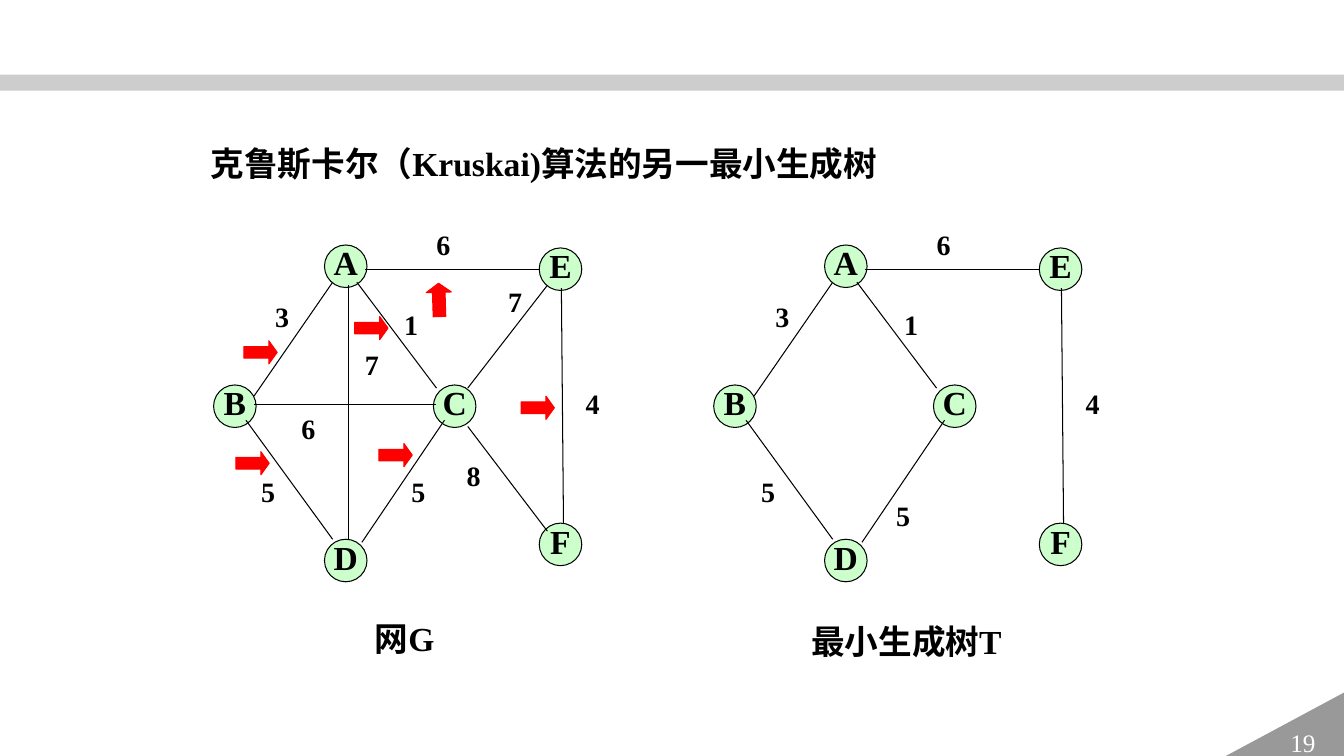
from lxml import etree
from pptx import Presentation
from pptx import util as u
from pptx.dml.color import RGBColor
from pptx.enum import shapes, text
from pptx.oxml import ns

BLACK = RGBColor(0, 0, 0)
WHITE = RGBColor(255, 255, 255)
GREEN = RGBColor(0xCC, 0xFF, 0xCC)
RED = RGBColor(255, 0, 0)
SILVER = RGBColor(0xA6, 0xA6, 0xA6)
GREY = RGBColor(0x99, 0x99, 0x99)
FONT = "Times New Roman"
KIND = shapes.MSO_SHAPE
NODE = 30.4

NODES = {"A": (79.2, 7), "B": (0, 107), "C": (157, 107),
         "D": (79.2, 217.2), "E": (232.6, 9.1), "F": (232.6, 205.7)}
EDGES = {"AB": ((85, 33.6), (28.8, 115)),
         "BD": ((23.1, 132.2), (85, 217.2)),
         "BC": ((28.8, 120.7), (159.2, 120.7)),
         "AD": ((96.5, 35.8), (96.5, 217.2)),
         "AC": ((102.3, 33.6), (159.2, 109.2)),
         "CD": ((164.9, 132.2), (105.9, 219.4)),
         "CE": ((238.4, 35.8), (181.5, 109.2)),
         "CF": ((181.5, 136.6), (238.4, 211.4)),
         "EF": ((248.4, 37.9), (249.9, 205.7)),
         "AE": ((108, 24.2), (232.6, 24.2))}
COSTS = {"AB": ("3", 44, 52.3), "BD": ("5", 33.9, 177.6),
         "BC": ("6", 62.7, 132.2), "AD": ("7", 108, 86.9),
         "AC": ("1", 136.1, 58.1), "CD": ("5", 141.2, 177.6),
         "CE": ("7", 210.3, 41.5), "CF": ("8", 180.8, 166.1),
         "EF": ("4", 265.7, 115), "AE": ("6", 159.2, 1.2)}
MARKS = {"AC": (100.8, 58.1, 16.6, 0), "AB": (21.6, 75.4, 16.6, 0),
         "EF": (219.6, 115, 16.6, 0), "BD": (15.9, 154.6, 16.6, 0),
         "CD": (118.1, 148.8, 16.6, 0), "AE": (149.1, 37.2, 18, 268.3)}


def pts(*nums):
    """Turn numbers into point lengths."""
    return [u.Pt(n) for n in nums]


def write(shape, words, size, color=BLACK, bold=True, space=None, align=None):
    """Put one formatted paragraph into a shape."""
    para = shape.text_frame.paragraphs[0]
    para.text = words
    para.font.name, para.font.size = FONT, u.Pt(size)
    para.font.bold, para.font.color.rgb = bold, color
    para.line_spacing, para.alignment = space, align


def solid(slide, kind, box, fill, line=None):
    """Add a filled preset shape without shadow."""
    shape = slide.shapes.add_shape(kind, *pts(*box))
    shape.shadow.inherit = False
    shape.fill.solid()
    shape.fill.fore_color.rgb = fill
    if line is None:
        shape.line.fill.background()
    else:
        shape.line.color.rgb, shape.line.width = line, u.Pt(0.75)
    return shape


def label(slide, box, words, size, space=None, inset=None):
    """Add a wrapped text box."""
    shape = slide.shapes.add_textbox(*pts(*box))
    frame = shape.text_frame
    frame.word_wrap = True
    if inset is not None:
        frame.margin_left = frame.margin_right = u.Pt(inset)
        frame.margin_top = frame.margin_bottom = u.Pt(inset)
    write(shape, words, size, space=space)


def frame(slide, wide, high):
    """Draw the top band and the page corner."""
    band = solid(slide, KIND.RECTANGLE, (0, 53.3, wide, 11.5), SILVER)
    tint = band.element.spPr.find(".//" + ns.qn("a:srgbClr"))
    etree.SubElement(tint, ns.qn("a:alpha"), val="56000")
    tri = solid(slide, KIND.RIGHT_TRIANGLE,
                (wide - 88.2, high - 45.4, 88.5, 47.5), GREY)
    tri.element.spPr.xfrm.set("flipH", "1")
    tri.text_frame.vertical_anchor = text.MSO_ANCHOR.MIDDLE
    write(tri, "19", 18, WHITE, False, align=text.PP_ALIGN.CENTER)


def heading(slide, box, words):
    """Place and format the title."""
    title = slide.shapes.title
    title.left, title.top, title.width, title.height = pts(*box)
    title.text_frame.auto_size = text.MSO_AUTO_SIZE.NONE
    title.text_frame.vertical_anchor = text.MSO_ANCHOR.TOP
    write(title, words, 24, space=1.3, align=text.PP_ALIGN.LEFT)


def graph(slide, left, top, edges, costs, marks):
    """Draw a weighted graph from its top left corner."""
    for name, (x, y) in NODES.items():
        node = solid(slide, KIND.OVAL, (left + x, top + y, NODE, NODE),
                     GREEN, BLACK)
        node.text_frame.word_wrap = False
        node.text_frame.vertical_anchor = text.MSO_ANCHOR.MIDDLE
        write(node, name, 24, space=0.8, align=text.PP_ALIGN.CENTER)
    for edge in edges:
        (x, y), (p, q) = EDGES[edge]
        line = slide.shapes.add_connector(
            shapes.MSO_CONNECTOR.STRAIGHT,
            *pts(left + x, top + y, left + p, top + q))
        line.line.color.rgb, line.line.width = BLACK, u.Pt(0.75)
        etree.SubElement(line.element.spPr, ns.qn("a:effectLst"))
        cost, x, y = costs[edge]
        label(slide, (left + x, top + y, 12.2, 17.3), cost, 20, 0.7, 0)
    for x, y, high, turn in marks:
        mark = solid(slide, KIND.RIGHT_ARROW,
                     (left + x, top + y, 23.8, high), RED, RED)
        mark.adjustments[1] = 0.36
        mark.rotation = turn


def main():
    """Build and save the slide."""
    deck = Presentation()
    deck.slide_width, deck.slide_height = pts(960, 540)
    slide = deck.slides.add_slide(deck.slide_layouts[5])
    frame(slide, 960, 540)
    heading(slide, (143.3, 90, 516, 41), "克鲁斯卡尔（Kruskai)算法的另一最小生成树")
    graph(slide, 152.6, 168, EDGES, COSTS, MARKS.values())
    label(slide, (260.6, 437.8, 57.6, 36), "网G", 24)
    moved = {**COSTS, "CD": ("5", 130.4, 194.9)}
    graph(slide, 509.8, 168, MARKS, moved, ())
    label(slide, (572.4, 439.9, 151.2, 36), "最小生成树T", 24)
    deck.save("out.pptx")


if __name__ == "__main__":
    main()
